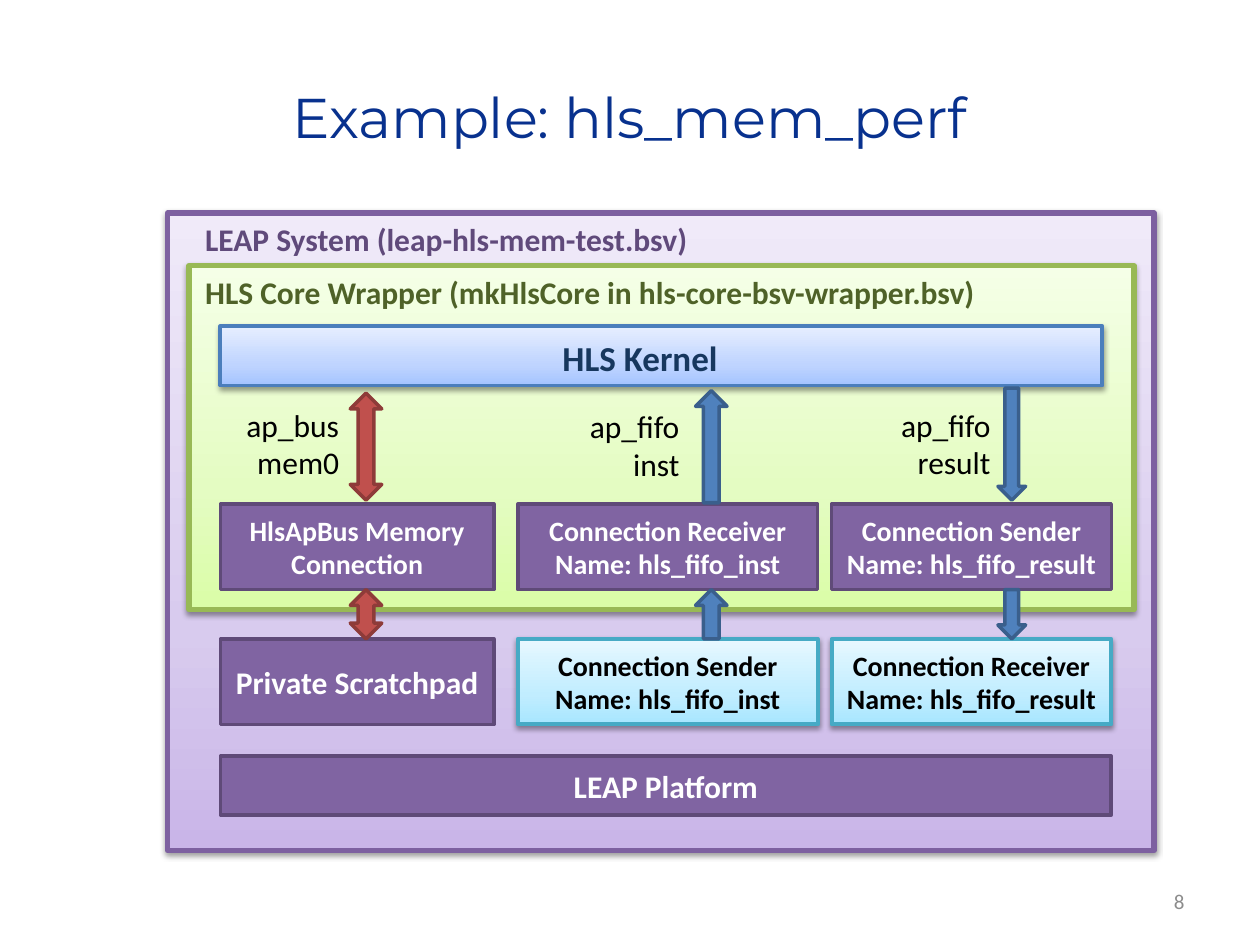
import copy

import pptx
import pptx.dml.color
import pptx.enum.shapes
import pptx.enum.text
import pptx.oxml
import pptx.util
from pptx.oxml.ns import nsdecls

SHAPE = pptx.enum.shapes.MSO_SHAPE
ALIGN = pptx.enum.text.PP_ALIGN
ANCHOR = pptx.enum.text.MSO_ANCHOR
inch = pptx.util.Inches
color = pptx.dml.color.RGBColor.from_string

SHADOW = (
    f'<a:effectLst {nsdecls("a")}><a:outerShdw blurRad="39370" dist="20320" dir="5400000" '
    'rotWithShape="0"><a:srgbClr val="000000"><a:alpha val="38000"/></a:srgbClr>'
    '</a:outerShdw></a:effectLst>'
)

# Fill (one colour, or three from bottom to top), line colour, line width
PURPLE = (["8064A2"], "5F4A78", 2)
RED = (["C0504D"], "8E3B39", 2)
BLUE = (["4F81BD"], "3A5F8C", 2)
SYSTEM = (["C9B5E8", "D8CBEE", "F0EAF9"], "7D60A0", 3)
WRAPPER = (["DAFDA7", "E4FCC2", "F5FFE7"], "98B955", 3)
KERNEL = (["A4C4FF", "BFD4FF", "E6EEFF"], "4B7EBC", 2.25)
CYAN = (["A7E6FF", "C1EDFF", "E7F8FF"], "46AAC5", 2.25)

deck = pptx.Presentation()
deck.slide_width, deck.slide_height = inch(10), inch(7.5)
page = deck.slides.add_slide(deck.slide_layouts[5])


def write(box, text, size, hex_color, align=ALIGN.CENTER, anchor=ANCHOR.MIDDLE,
          bold=True, font="Calibri"):
    frame = box.text_frame
    frame.word_wrap = True
    frame.vertical_anchor = anchor
    frame.text = text
    look = {"name": font, "size": pptx.util.Pt(size), "bold": bold}
    for para in frame.paragraphs:
        para.alignment = align
        for span in para.runs:
            for name, value in look.items():
                setattr(span.font, name, value)
            span.font.color.rgb = color(hex_color)


def draw(kind, place, style):
    """Add a shape; a style with three fill colours also gets a soft shadow."""
    fills, line, width = style
    shape = page.shapes.add_shape(kind, *map(inch, place))
    shape.shadow.inherit = False
    shape.line.color.rgb = color(line)
    shape.line.width = pptx.util.Pt(width)
    if len(fills) == 1:
        shape.fill.solid()
        shape.fill.fore_color.rgb = color(fills[0])
        return shape
    shape.fill.gradient()
    shape.fill.gradient_angle = 90
    stop_list = shape._element.spPr.gradFill.gsLst
    stop_list.insert(1, copy.deepcopy(stop_list[0]))
    for stop, position, fill in zip(shape.fill.gradient_stops, (0, 0.35, 1), fills):
        stop.position = position
        stop.color.rgb = color(fill)
    effects = shape._element.spPr.find(pptx.oxml.ns.qn("a:effectLst"))
    effects.getparent().replace(effects, pptx.oxml.parse_xml(SHADOW))
    return shape


title = page.shapes.title
title.left, title.top, title.width, title.height = map(inch, (0.5, 0.3, 9, 1.25))
write(title, "Example: hls_mem_perf", 32, "08318E", bold=False, font="Montserrat")

# Grid: three columns (left, width) and four rows of boxes
columns = [(1.75, 2.17), (4.11, 2.38), (6.6, 2.22)]
left = columns[0][0]
full_width = sum(columns[-1]) - left
kernel_row, wrapper_row, system_row, platform_row = 2.59, 4, 5.07, 6
box_height, bar_height = 0.68, 0.47

draw(SHAPE.RECTANGLE, (1.33, 1.69, 7.83, 5.06), SYSTEM)
draw(SHAPE.RECTANGLE, (1.5, 2.11, 7.5, 2.73), WRAPPER)
draw(SHAPE.RECTANGLE, (left, kernel_row, 7, bar_height), KERNEL)
platform = draw(SHAPE.RECTANGLE, (left, platform_row, full_width, bar_height), PURPLE)
write(platform, "LEAP Platform", 18, "FFFFFF")

# Text, size, text colour and style of the boxes, row by row
rows = {
    wrapper_row: [
        ("HlsApBus Memory\nConnection", 16, "FFFFFF", PURPLE),
        ("Connection Receiver\nName: hls_fifo_inst", 16, "FFFFFF", PURPLE),
        ("Connection Sender\nName: hls_fifo_result", 16, "FFFFFF", PURPLE),
    ],
    system_row: [
        ("Private Scratchpad", 18, "FFFFFF", PURPLE),
        ("Connection Sender\nName: hls_fifo_inst", 16, "000000", CYAN),
        ("Connection Receiver\nName: hls_fifo_result", 16, "000000", CYAN),
    ],
}
for top, cells in rows.items():
    for (x, width), (text, size, hex_color, style) in zip(columns, cells):
        box = draw(SHAPE.RECTANGLE, (x, top, width, box_height), style)
        write(box, text, size, hex_color)

# Each column has a long arrow to the kernel and a short one to the system row
arrows = [
    (SHAPE.UP_DOWN_ARROW, 2.78, 0.25, 3.12, 0.85, RED),
    (SHAPE.UP_ARROW, 5.52, 0.25, 3.1, 0.89, BLUE),
    (SHAPE.DOWN_ARROW, 7.92, 0.22, 3.08, 0.89, BLUE),
]
short_top = wrapper_row + box_height
for kind, x, width, top, height, style in arrows:
    draw(kind, (x, top, width, height), style)
    draw(kind, (x, short_top, width, system_row - short_top), style)

# Place, text, size, colour, alignment, anchor, bold
labels = [
    ((2.67, 2.62, 4.82, 0.44), "HLS Kernel", 20, "17375E", ALIGN.CENTER, ANCHOR.TOP, True),
    ((1.53, 2.12, 7.22, 0.4), "HLS Core Wrapper (mkHlsCore in hls-core-bsv-wrapper.bsv)",
     18, "4F6228", ALIGN.LEFT, ANCHOR.TOP, True),
    ((1.53, 1.7, 5.96, 0.4), "LEAP System (leap-hls-mem-test.bsv)",
     18, "604A7B", ALIGN.LEFT, ANCHOR.TOP, True),
    ((7.17, 6.95, 2.33, 0.4), "8", 12, "8C8C8C", ALIGN.RIGHT, ANCHOR.MIDDLE, False),
]
ports = [(1.62, 3.17, "ap_bus\nmem0"), (4.32, 3.18, "ap_fifo\ninst"), (6.79, 3.17, "ap_fifo\nresult")]
for x, top, text in ports:
    labels.append(((x, top, 1.17, 0.71), text, 18, "000000", ALIGN.RIGHT, ANCHOR.TOP, False))
for place, *content in labels:
    write(page.shapes.add_textbox(*map(inch, place)), *content)

deck.save("out.pptx")
